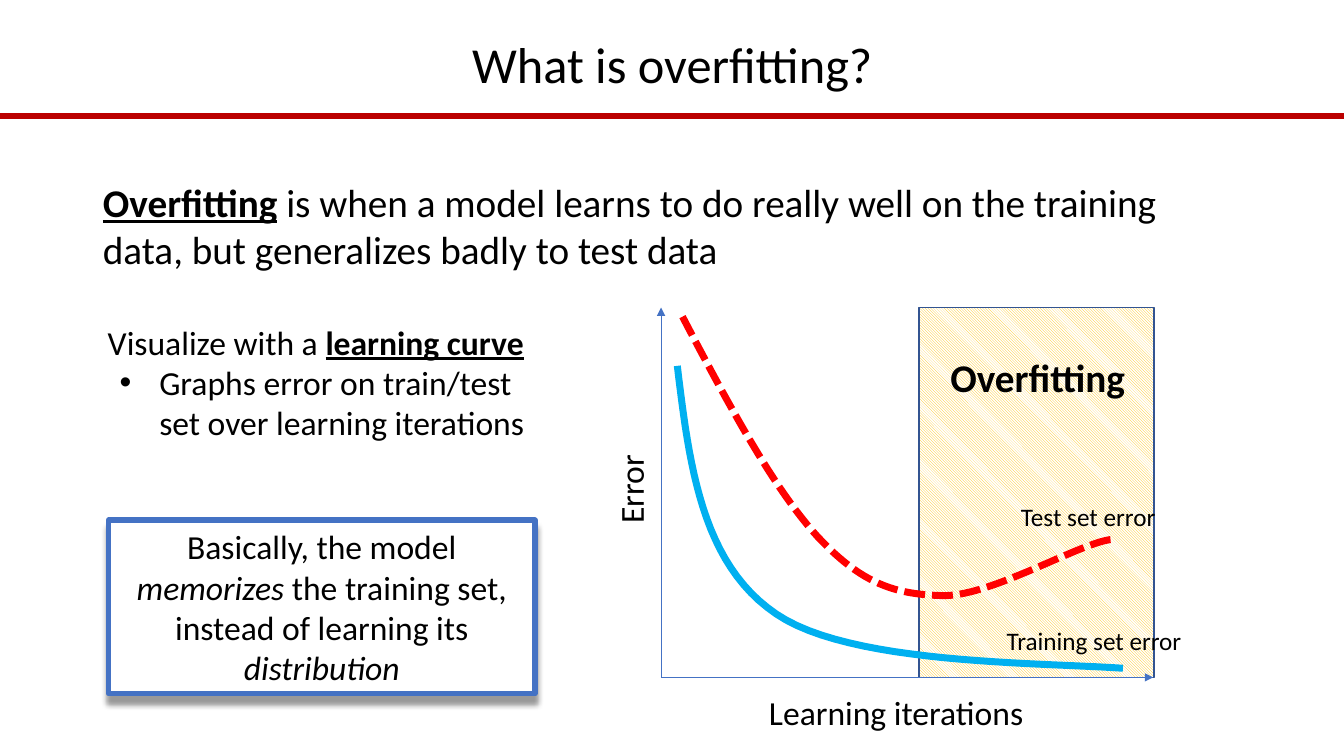
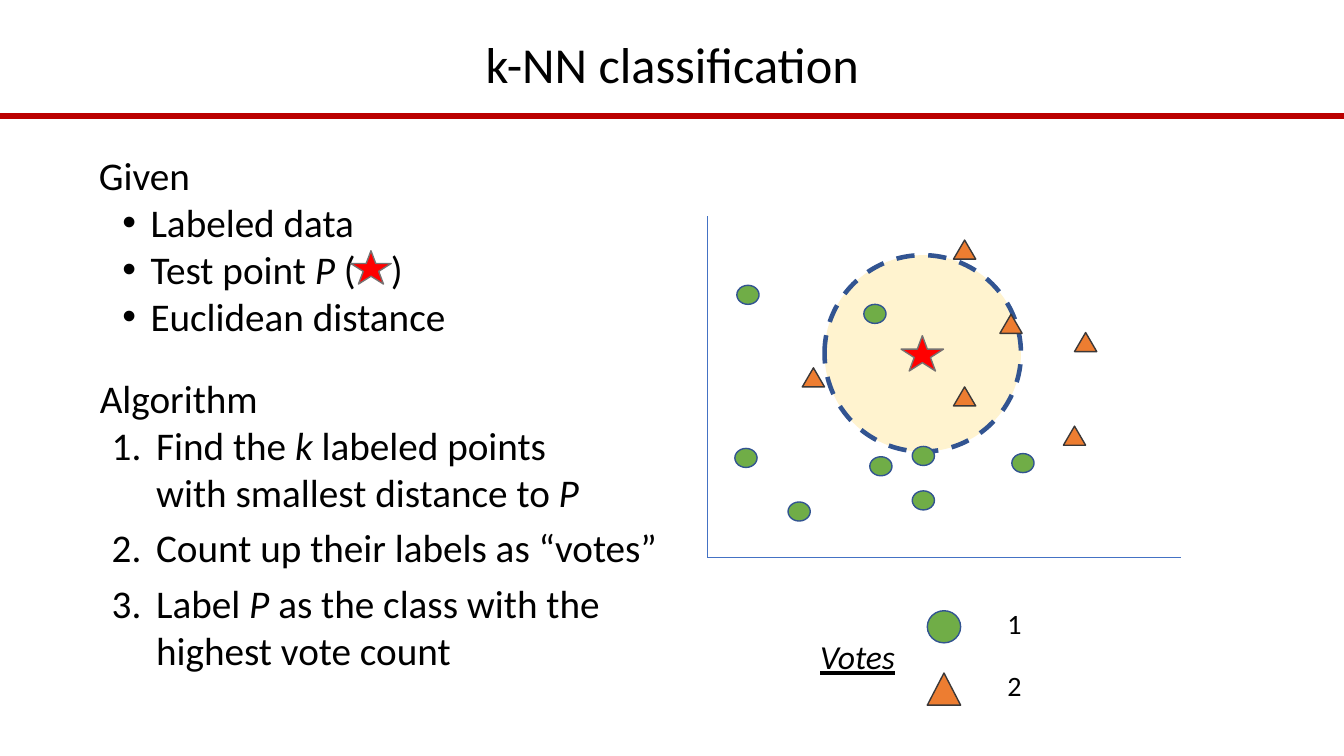
from lxml import etree
from pptx import Presentation
from pptx.dml.color import RGBColor
from pptx.enum import dml, shapes, text
from pptx.oxml import ns
from pptx.util import Cm, Pt

# Shared colours and style
BLACK = RGBColor(0x00, 0x00, 0x00)
WHITE = RGBColor(0xFF, 0xFF, 0xFF)
BAND = RGBColor(0xBB, 0x00, 0x00)
BLUE = RGBColor(0x44, 0x72, 0xC4)
NAVY = RGBColor(0x32, 0x54, 0x91)
SKY = RGBColor(0x00, 0xB0, 0xF0)
RED = RGBColor(0xFF, 0x00, 0x00)
GOLD = RGBColor(0xFF, 0xC0, 0x00)
GREEN = RGBColor(0x70, 0xAD, 0x47)
ORANGE = RGBColor(0xED, 0x7D, 0x31)
DARK = RGBColor(0x3B, 0x38, 0x38)
GREY = RGBColor(0x76, 0x71, 0x71)
FONT = "Calibri"
WIDTH, HEIGHT = 33.87, 19.05

SHAPE = shapes.MSO_SHAPE
DASH = dml.MSO_LINE
CENTER = text.PP_ALIGN.CENTER

# Marker kinds: preset, fill, line
DOT = (SHAPE.OVAL, GREEN, NAVY)
WEDGE = (SHAPE.ISOSCELES_TRIANGLE, ORANGE, DARK)
STAR = (SHAPE.STAR_5_POINT, RED, GREY)


# XML helpers
def sub(parent, tag, **attrs):
    node = etree.SubElement(parent, ns.qn("a:" + tag))
    for key, value in attrs.items():
        node.set(key, str(value))
    return node


def bullet(para, mark, left, hang):
    """Set indents in cm and a mark: a character, "1." or None."""
    props = para._p.get_or_add_pPr()
    props.set("marL", str(Cm(left)))
    props.set("indent", str(Cm(-hang)))
    if mark is None:
        sub(props, "buNone")
    elif mark == "1.":
        sub(props, "buFont", typeface="+mj-lt")
        sub(props, "buAutoNum", type="arabicPeriod")
    else:
        sub(props, "buFont", typeface="Arial")
        sub(props, "buChar", char=mark)


# Text
def style(run, size, marks=""):
    font = run.font
    font.name, font.size = FONT, Pt(size)
    font.color.rgb = BLACK
    font.bold = "b" in marks
    font.italic = "i" in marks
    font.underline = "u" in marks


def write(para, parts, size):
    """Write strings or (string, marks) pairs as runs; "\\n" breaks the line."""
    for part in parts:
        words, marks = (part, "") if isinstance(part, str) else part
        if words == "\n":
            para.add_line_break()
            continue
        run = para.add_run()
        run.text = words
        style(run, size, marks)
        if "w" in marks:  # wide letters leave room for a symbol
            run.font._element.set("spc", "940")


def place(shape, box):
    shape.left, shape.top, shape.width, shape.height = map(Cm, box)


def body(holder, box, size, items):
    """Fill a body placeholder from (mark, left, hang, after, parts) rows."""
    place(holder, box)
    frame = holder.text_frame
    frame.auto_size = text.MSO_AUTO_SIZE.NONE
    for num, (mark, left, hang, after, parts) in enumerate(items):
        para = frame.add_paragraph() if num else frame.paragraphs[0]
        bullet(para, mark, left, hang)
        para.space_before, para.space_after = Pt(0), Pt(after)
        write(para, parts, size)


def label(slide, box, words, size, marks="", turn=0):
    item = slide.shapes.add_textbox(*map(Cm, box))
    item.rotation = turn
    item.text_frame.word_wrap = False
    item.text_frame.text = words
    style(item.text_frame.paragraphs[0].runs[0], size, marks)


# Lines and shapes
def rule(slide, start, end, color, width, arrow=False):
    line = slide.shapes.add_connector(
        shapes.MSO_CONNECTOR.STRAIGHT, *map(Cm, start + end))
    line.line.color.rgb, line.line.width = color, Pt(width)
    if arrow:
        sub(line.line._get_or_add_ln(), "tailEnd", type="triangle")
    sub(line._element.spPr, "effectLst")
    return line


def axes(slide, origin, top, right, arrow=False):
    for end in ((origin[0], top), (right, origin[1])):
        rule(slide, origin, end, BLUE, 0.5, arrow)


def shape(slide, kind, box, fill, edge, width=1.0):
    item = slide.shapes.add_shape(kind, *map(Cm, box))
    item.shadow.inherit = False
    item.fill.solid()
    item.fill.fore_color.rgb = fill
    item.line.color.rgb, item.line.width = edge, Pt(width)
    return item


def mark(slide, kind, spot, size):
    preset, fill, edge = kind
    shape(slide, preset, spot + size, fill, edge)


def curve(slide, knots, color, dash=None, steps=24):
    """Draw a chain of cubic arcs; knots are ends and control points in cm."""
    dots = []
    for at in range(0, len(knots) - 1, 3):
        arc = knots[at:at + 4]
        for step in range(1, steps + 1):
            t = step / steps
            mix = ((1 - t) ** 3, 3 * t * (1 - t) ** 2,
                   3 * t * t * (1 - t), t ** 3)
            dots.append(tuple(
                Cm(sum(m * p[axis] for m, p in zip(mix, arc)))
                for axis in (0, 1)))
    path = slide.shapes.build_freeform(*map(Cm, knots[0]))
    path.add_line_segments(dots, close=False)
    item = path.convert_to_shape()
    item.shadow.inherit = False
    item.fill.background()
    item.line.color.rgb, item.line.width = color, Pt(5)
    if dash:
        item.line.dash_style = dash


# Slide frame
def add(deck, layout, title):
    slide = deck.slides.add_slide(layout)
    frame = slide.shapes.title.text_frame
    frame.text = title
    frame.auto_size = text.MSO_AUTO_SIZE.NONE
    frame.vertical_anchor = text.MSO_ANCHOR.MIDDLE
    para = frame.paragraphs[0]
    para.alignment, para.line_spacing = CENTER, 0.9
    style(para.runs[0], 36)
    return slide


def band(slide, layout):
    """Put the title's place and the red band on the shared layout."""
    place(layout.placeholders[0], (2.34, 0.86, 29.21, 1.68))
    line = rule(slide, (0, 2.92), (WIDTH, 2.92), BAND, 4)
    layout.shapes.element.append(line._element)


# Slide 1
def chart(slide):
    area = shape(slide, SHAPE.RECTANGLE, (23.16, 7.75, 5.92, 9.32),
                 WHITE, NAVY)
    area.fill.patterned()
    area.fill.pattern = dml.MSO_PATTERN.LIGHT_DOWNWARD_DIAGONAL
    area.fill.fore_color.rgb, area.fill.back_color.rgb = GOLD, WHITE
    axes(slide, (16.66, 17.07), 7.75, 29.06, arrow=True)
    curve(slide, [(17.07, 9.22), (17.37, 11.71), (17.68, 14.2),
                  (19.56, 15.47), (21.41, 16.74), (26.09, 16.69),
                  (28.3, 16.84)], SKY)
    curve(slide, [(17.2, 7.98), (18.34, 10.16), (19.51, 12.34),
                  (20.62, 13.54), (21.72, 14.71), (22.56, 14.99),
                  (23.8, 15.01), (25.04, 15.01), (27.33, 13.61),
                  (28.07, 13.59)], RED, DASH.SQUARE_DOT)
    label(slide, (14.76, 11.68, 2.26, 1.27), "Error", 24, turn=270)
    label(slide, (19.13, 17.3, 6.99, 1.27), "Learning iterations", 24)
    label(slide, (25.48, 12.52, 3.94, 1.02), "Test set error", 18)
    label(slide, (25.12, 15.62, 4.98, 1.02), "Training set error", 18)
    label(slide, (23.7, 8.79, 5, 1.45), "Overfitting", 28, "b")


def callout(slide, box, parts):
    item = shape(slide, SHAPE.RECTANGLE, box, WHITE, BLUE, 4)
    glow = item._element.spPr.find(ns.qn("a:effectLst"))
    drop = sub(glow, "outerShdw", blurRad=Pt(4), dist=Pt(6), dir=5400000,
               algn="t", rotWithShape=0)
    sub(sub(drop, "srgbClr", val=BLACK), "alpha", val=40000)
    item.text_frame.word_wrap = True
    para = item.text_frame.paragraphs[0]
    para.alignment = CENTER
    write(para, parts, 24)


def overfit(slide):
    lead, notes = list(slide.placeholders)[1:]
    body(lead, (2.34, 4.37, 29.21, 2.74), 28, [
        (None, 0, 0, 0, [
            ("Overfitting", "bu"),
            " is when a model learns to do really well on the training "
            "data, but generalizes badly to test data"])])
    body(notes, (2.46, 7.98, 11.13, 3.33), 24, [
        (None, 0, 0, 0, ["Visualize with a ", ("learning curve", "bu")]),
        ("•", 1.3, 1, 0, [
            "Graphs error on train/test set over learning iterations"])])
    chart(slide)
    callout(slide, (2.74, 13.11, 10.74, 4.37), [
        "Basically, the model ", ("memorizes", "i"),
        " the training set, instead of learning its ",
        ("distribution", "i")])


# Slide 2
def plot(slide):
    ring = shape(slide, SHAPE.OVAL, (20.78, 6.43, 4.95, 4.95),
                 GOLD, NAVY, 3.25)
    ring.line.dash_style = DASH.DASH
    tint = ring._element.spPr.find(ns.qn("a:solidFill"))[0]
    sub(tint, "alpha", val=19000)
    axes(slide, (17.83, 14.05), 5.44, 29.77)
    points = (
        (WEDGE, [(20.22, 9.27), (24.03, 6.05), (27.08, 8.38),
                 (24.03, 9.75), (25.2, 7.92), (26.8, 10.74)]),
        (DOT, [(21.77, 7.67), (22.99, 11.25), (21.92, 11.51),
               (22.99, 12.37), (19.86, 12.65), (18.52, 11.3),
               (18.57, 7.19), (25.5, 11.43)]))
    for kind, spots in points:
        for spot in spots:
            mark(slide, kind, spot, (0.56, 0.48))
    mark(slide, STAR, (22.71, 8.46), (1.07, 0.89))


def votes(slide):
    label(slide, (20.42, 15.9, 2.41, 1.27), "Votes", 24, "iu")
    for row, (kind, count) in enumerate(((DOT, "1"), (WEDGE, "2"))):
        top = 15.39 + row * 1.57
        mark(slide, kind, (23.37, top), (0.84, 0.81))
        label(slide, (25.14, top - 0.23, 0.86, 1.12), count, 20)


def nearest(slide):
    given, steps = list(slide.placeholders)[1:]
    dot, step = ("•", 1.3, 0.71, 0), ("1.", 1.47, 1.12, 6)
    body(given, (2.24, 3.68, 9.32, 5.05), 28, [
        (None, 0, 0, 0, ["Given"]),
        (*dot, ["Labeled data"]),
        (*dot, ["Test point ", ("P ", "i"), ("( ", "w"), ")"]),
        (*dot, ["Euclidean distance"])])
    body(steps, (2.21, 9.3, 14.94, 7.87), 28, [
        (None, 0.05, 0, 0, ["Algorithm"]),
        (*step, ["Find the ", ("k ", "i"), "labeled points", "\n",
                 "with smallest distance to ", ("P", "i")]),
        (*step, ["Count up their labels as “votes”"]),
        (*step, ["Label ", ("P", "i"),
                 " as the class with the highest vote count"])])
    plot(slide)
    votes(slide)
    mark(slide, STAR, (8.84, 6.32), (1.02, 0.84))


def main():
    deck = Presentation()
    deck.slide_width, deck.slide_height = Cm(WIDTH), Cm(HEIGHT)
    layout = deck.slide_layouts[3]
    first = add(deck, layout, "What is overfitting?")
    band(first, layout)
    overfit(first)
    nearest(add(deck, layout, "k-NN classification"))
    deck.save("out.pptx")


if __name__ == "__main__":
    main()
